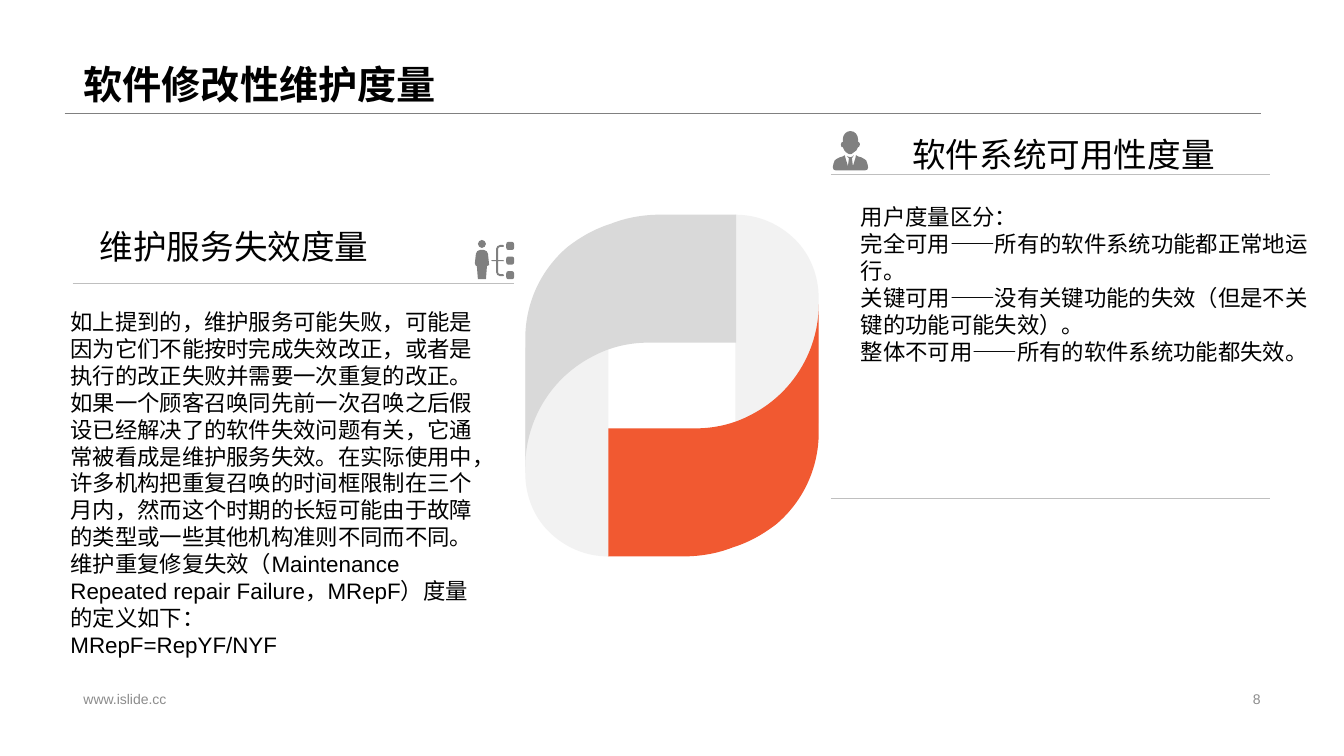
from lxml import etree
from pptx import Presentation
from pptx import util as u
from pptx.dml.color import RGBColor
from pptx.enum import shapes, text
from pptx.oxml.ns import qn

W, H = 13.33, 7.5
GREY, RULE, PALE, SILVER, ORANGE = "808080", "BFBFBF", "F2F2F2", "D9D9D9", "F15931"
CJK = "Noto Sans CJK SC"
COMMANDS = {"M": ("a:moveTo", 1), "L": ("a:lnTo", 1), "C": ("a:cubicBezTo", 3)}

BLADE = ("M 0 250 L 0 123 C 0 88 15 55 42 32 C 55 22 69 14 85 9 C 100 3 117 0 134 0 "
         "L 209 0 L 209 127 L 122 127 C 104 127 85 131 68 140 C 26 161 0 204 0 250")
FOLD = "M 82.5 127 L 82.5 339 C 60 339 39 330 23 314 C 8 299 0 278 0 256 L 0 132 L 82.5 127"
SUIT = ("M 12 24 C 12 26 15 34 15 35 L 16 27 L 14 25 C 15 25 16 26 17.5 26 "
        "C 19 26 20 25 21 24 L 19 27 L 20 35 C 20 34 23 26 23 24 C 25 25 26 26 28 26 "
        "C 30 27 32 28 33 29 C 34 31 35 34 35 36 C 35 38 34 39 32 39 L 3 39 "
        "C 1 39 0 38 0 36 C 0 34 1 31 2 29 C 3 28 5 27 7 26 C 9 26 10 25 12 24")
FACE = ("M 17.5 0 C 22 0 25 4 25 8 L 25 11 C 25 11 27 10 27 13 C 26 17 25 16 25 16 "
        "C 24 19 23 20 21 21 C 19 23 18 23 17.5 23 C 17 23 15 23 13 21 "
        "C 12 20 11 19 10 16 C 10 16 8 17 8 13 C 8 10 10 11 10 11 L 10 8 C 10 4 13 0 17.5 0")
BODY = ("M 5 10 L 9 10 C 11 10 13 12 13 14 L 14 23 C 15 24 14 26 12 26 L 11 39 "
        "L 3 39 L 2 26 C 1 26 0 25 0 23 L 1 14 C 1 12 3 10 5 10")
SKULL = "M 7 0 C 9 0 11 2 11 4 C 11 6 9 8 7 8 C 5 8 3 6 3 4 C 3 2 5 0 7 0"
BRANCH = ("M 25 5 L 28 5 C 29 5 29 5 29 6 C 29 6 29 7 28 7 L 25 7 C 24 7 23 8 23 9 L 23 20 "
          "L 28 20 C 29 20 29 20 29 21 L 23 21 L 23 32 C 23 33 24 34 25 34 L 28 34 "
          "C 29 34 29 35 29 35 C 29 36 29 36 28 36 L 25 36 C 23 36 21 34 21 32 L 21 21 "
          "L 17 21 C 16 21 16 20 17 20 L 21 20 L 21 9 C 21 7 23 5 25 5")

FAILURE = [
    "如上提到的，维护服务可能失败，可能是因为它们不能按时完成失效改正，或者是执行的改正失败并需要一次重复的改正。",
    "如果一个顾客召唤同先前一次召唤之后假设已经解决了的软件失效问题有关，它通常被看成是维护服务失效。"
    "在实际使用中，许多机构把重复召唤的时间框限制在三个月内，然而这个时期的长短可能由于故障的类型或一些其他机构准则不同而不同。"
    "维护重复修复失效（Maintenance Repeated repair Failure，MRepF）度量的定义如下：",
    "MRepF=RepYF/NYF"]
AVAILABILITY = [
    "用户度量区分：",
    "完全可用——所有的软件系统功能都正常地运行。",
    "关键可用——没有关键功能的失效（但是不关键的功能可能失效）。",
    "整体不可用——所有的软件系统功能都失效。"]


def rgb(value):
    """Return the colour of a hex string."""
    return RGBColor.from_string(value)


def rule(s, x1, x2, y, color=RULE):
    """Draw a level hairline."""
    sp = s.shapes.add_connector(shapes.MSO_CONNECTOR.STRAIGHT,
                                *map(u.Inches, (x1, y, x2, y)))
    sp.line.color.rgb, sp.line.width = rgb(color), u.Pt(0.25)
    etree.SubElement(sp._element.spPr, qn("a:effectLst"))


def segments(path, box, turned):
    """Split a path in hundredths of an inch into commands with slide points."""
    x, y, w, h = box
    tokens = path.split()
    while tokens:
        tag, count = COMMANDS[tokens.pop(0)]
        n, tokens = [float(t) / 100 for t in tokens[:2 * count]], tokens[2 * count:]
        points = zip(n[::2], n[1::2])
        if turned:
            points = [(w - px, h - py) for px, py in points]
        yield tag, [(u.Inches(x + px), u.Inches(y + py)) for px, py in points]


def outline(s, box, path, fill, turned=False):
    """Draw a curved outline in a box, turned half round if asked."""
    parts = list(segments(path, box, turned))
    corners = [points[-1] for _, points in parts]
    builder = s.shapes.build_freeform(*corners[0])
    builder.add_line_segments(corners[1:])
    sp = builder.convert_to_shape()
    sp.shadow.inherit = False
    sp.fill.solid()
    sp.fill.fore_color.rgb = rgb(fill)
    sp.line.fill.background()
    curve = next(sp._element.iter(qn("a:path")))
    for child in list(curve):
        curve.remove(child)
    for i, (tag, points) in enumerate(parts):
        step = etree.SubElement(curve, qn(tag))
        for px, py in points:
            pt = etree.SubElement(step, qn("a:pt"))
            pt.set("x", str(px - sp.left))
            pt.set("y", str(py - sp.top))
        if i + 1 == len(parts) or parts[i + 1][0] == "a:moveTo":
            etree.SubElement(curve, qn("a:close"))


def write(s, box, lines, size, color="000000", font="Arial", bold=False, align="LEFT",
          anchor="TOP", wrap=True, bottom=0.05):
    """Write paragraphs into a text box."""
    tf = s.shapes.add_textbox(*map(u.Inches, box)).text_frame
    layout = {"word_wrap": wrap, "vertical_anchor": text.MSO_ANCHOR[anchor],
              "margin_bottom": u.Inches(bottom)}
    for name, value in layout.items():
        setattr(tf, name, value)
    for i, line in enumerate(lines):
        p = tf.add_paragraph() if i else tf.paragraphs[0]
        p.alignment, p.line_spacing = text.PP_ALIGN[align], u.Pt(size * 1.2)
        r = p.add_run()
        r.text = line
        for name, value in {"size": u.Pt(size), "name": font, "bold": bold}.items():
            setattr(r.font, name, value)
        r.font.color.rgb = rgb(color)
        etree.SubElement(r._r.get_or_add_rPr(), qn("a:ea")).set("typeface", CJK)


def frame(s, title, footer, number):
    """Place the title, its rule and the footer."""
    rule(s, 0.64, 12.51, 1.12, GREY)
    write(s, (0.73, 0, 11.87, 1.12), [title], 28, bold=True, anchor="BOTTOM", bottom=0.06)
    for x, w, line, align in ((0.73, 4.53, footer, "LEFT"), (9.42, 3.18, number, "RIGHT")):
        write(s, (x, 6.82, w, 0.23), [line], 10, "8C8C8C", align=align, anchor="MIDDLE")


def ring(s, box):
    """Draw the folded ring as two parts, each repeated half a turn round."""
    for turned, blade in ((True, ORANGE), (False, SILVER)):
        outline(s, box, FOLD, PALE, turned)
        outline(s, box, BLADE, blade, turned)


def staff_icon(s, box):
    """Draw a person linked to three nodes."""
    nodes = [f"M 33 {y} L 37 {y} C 38 {y} 39 {y + 1} 39 {y + 2.5} L 39 {y + 5.5} "
             f"C 39 {y + 7} 38 {y + 8} 37 {y + 8} L 33 {y + 8} C 32 {y + 8} 31 {y + 7} "
             f"31 {y + 5.5} L 31 {y + 2.5} C 31 {y + 1} 32 {y} 33 {y}"
             for y in (2, 16.5, 31)]
    outline(s, box, " ".join([*nodes, BODY, BRANCH, SKULL]), GREY)


def failure_panel(s, box):
    """Place the left heading, icon, rule and text."""
    x, y, w, h = box
    staff_icon(s, (x + w - 0.39, y + 0.19, 0.39, 0.39))
    rule(s, x + 0.12, x + w, y + 0.62)
    write(s, (x, y + 0.82, 4.22, h - 0.82), FAILURE, 16)
    write(s, (x + 0.29, y, 2.89, 0.5), ["维护服务失效度量"], 24, font=CJK, wrap=False)


def availability_panel(s, box):
    """Place the right heading, icon, rules and text."""
    x, y, w, h = box
    outline(s, (x + 0.02, y + 0.02, 0.36, 0.39), f"{SUIT} {FACE}", GREY)
    for line_y in (y + 0.45, y + h):
        rule(s, x, x + w, line_y)
    write(s, (x + 0.71, y, 3.23, 0.5), ["软件系统可用性度量"], 24, font=CJK, wrap=False)
    write(s, (x + 0.2, y + 0.69, 4.79, 2.32), AVAILABILITY, 16)


def main():
    """Build the slide and save it."""
    prs = Presentation()
    prs.slide_width, prs.slide_height = u.Inches(W), u.Inches(H)
    s = prs.slides.add_slide(prs.slide_layouts[6])
    frame(s, "软件修改性维护度量", "www.islide.cc", "8")
    ring(s, (5.21, 2.13, 2.91, 3.39))
    failure_panel(s, (0.6, 2.19, 4.5, 4.42))
    availability_panel(s, (8.24, 1.28, 4.36, 3.66))
    prs.save("out.pptx")


if __name__ == "__main__":
    main()
